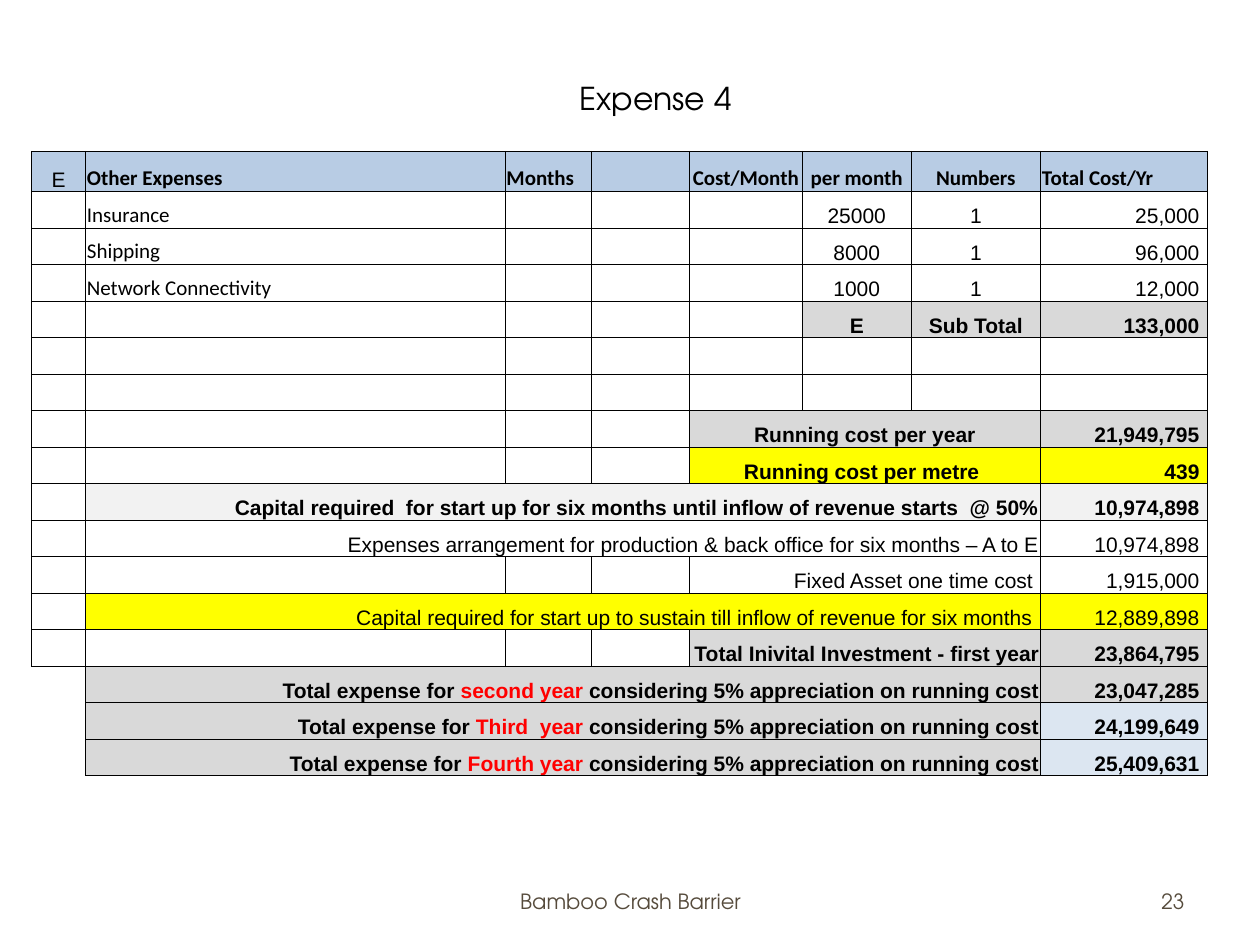
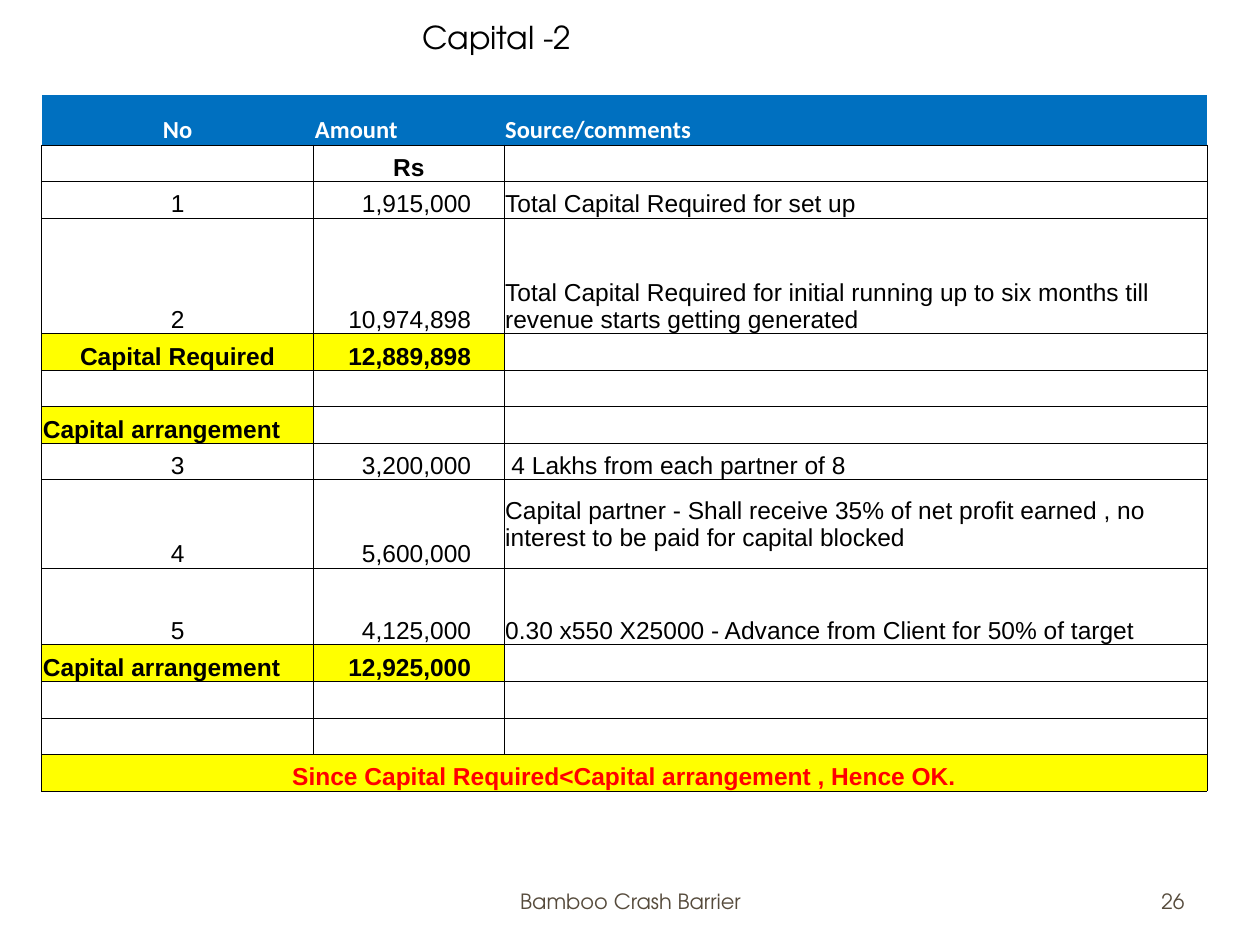
from dataclasses import dataclass
from pptx import Presentation
from pptx import util as u
from pptx.dml import color
from pptx.enum import text
from pptx.oxml import ns
from lxml import etree

COLORS = {"black": "000000", "white": "FFFFFF", "footer": "564B3C", "red": "FF0000",
          "pale blue": "B8CCE4", "ice": "DCE6F1", "blue": "0070C0",
          "gray": "D9D9D9", "light gray": "F2F2F2", "yellow": "FFFF00"}
ALIGN = {"left": text.PP_ALIGN.LEFT, "center": text.PP_ALIGN.CENTER, "right": text.PP_ALIGN.RIGHT}
ANCHOR = {"top": text.MSO_ANCHOR.TOP, "middle": text.MSO_ANCHOR.MIDDLE, "bottom": text.MSO_ANCHOR.BOTTOM}
HEADING_FONT = "TeX Gyre Adventor"


@dataclass
class Entry:
    row: int
    col: int
    words: object
    align: str = "left"
    font: str = "Arial"
    bold: bool = False
    ink: str = "black"
    fill: str = ""
    span: int = 1
    anchor: str = "bottom"
    left: float = 0.01
    right: float = 0.01


class Deck:
    def __init__(self):
        self.deck = Presentation()
        self.deck.slide_width, self.deck.slide_height = u.Inches(10), u.Inches(7.5)
        self.page = None

    def new_page(self, title, place, number):
        self.page = self.deck.slides.add_slide(self.deck.slide_layouts[5])
        box = self.page.shapes.title
        self.set_values(box, dict(zip(("left", "top", "width", "height"), map(u.Inches, place))))
        self.set_values(box.text_frame, {"word_wrap": False, "auto_size": text.MSO_AUTO_SIZE.NONE,
                                         "vertical_anchor": ANCHOR["top"]})
        self.add_words(box.text_frame, title, "left", HEADING_FONT, 18)
        self.footer("Bamboo Crash Barrier", 3.42, 3.17, "center")
        self.footer(str(number), 7.17, 2.33, "right")

    def set_values(self, target, values):
        for name, value in values.items():
            setattr(target, name, value)

    def add_words(self, frame, words, align, font, size, ink="black", bold=False):
        para = frame.paragraphs[0]
        para.alignment = ALIGN[align]
        runs = [(words, ink)] if isinstance(words, str) else words
        for run_words, run_ink in runs:
            span = para.add_run()
            span.text = run_words
            self.set_values(span.font, {"name": font, "size": u.Pt(size), "bold": bold})
            span.font.color.rgb = color.RGBColor.from_string(COLORS[run_ink])

    def footer(self, words, left, width, align):
        box = self.page.shapes.add_textbox(*map(u.Inches, (left, 6.95, width, 0.4)))
        self.set_values(box.text_frame, {"word_wrap": True, "vertical_anchor": ANCHOR["middle"]})
        self.add_words(box.text_frame, words, align, HEADING_FONT, 12, "footer")

    def borders(self, cell, sides):
        props = cell._tc.get_or_add_tcPr()
        for side in "LRTB":
            line = etree.SubElement(props, ns.qn("a:ln" + side), w=str(u.Pt(0.5)))
            if side in sides:
                fill = etree.SubElement(line, ns.qn("a:solidFill"))
                etree.SubElement(fill, ns.qn("a:srgbClr"), val=COLORS["black"])
            else:
                etree.SubElement(line, ns.qn("a:noFill"))

    def table(self, left, top, widths, heights, size, entries, open_cells):
        frame = self.page.shapes.add_table(len(heights), len(widths), *map(
            u.Inches, (left, top, sum(widths), sum(heights))))
        grid = frame.table
        self.set_values(grid, {"first_row": False, "horz_banding": False})
        for column, width in zip(grid.columns, widths):
            column.width = u.Inches(width)
        for row, height in zip(grid.rows, heights):
            row.height = u.Inches(height)
        placed = {(entry.row, entry.col): entry for entry in entries}
        for r in range(len(heights)):
            for c in range(len(widths)):
                self.cell(grid.cell(r, c), placed.get((r, c), Entry(r, c, "")),
                          size, open_cells.get((r, c), "LRTB"))
        for entry in entries:
            if entry.span > 1:
                grid.cell(entry.row, entry.col).merge(grid.cell(entry.row, entry.col + entry.span - 1))

    def cell(self, cell, entry, size, sides):
        self.borders(cell, sides)
        self.set_values(cell, {"margin_left": u.Inches(entry.left), "margin_right": u.Inches(entry.right),
                               "margin_top": u.Inches(0.01), "margin_bottom": 0,
                               "vertical_anchor": ANCHOR[entry.anchor]})
        if entry.fill:
            cell.fill.solid()
            cell.fill.fore_color.rgb = color.RGBColor.from_string(COLORS[entry.fill])
        else:
            cell.fill.background()
        if entry.words:
            self.add_words(cell.text_frame, entry.words, entry.align, entry.font, size, entry.ink, entry.bold)
        else:
            para = cell.text_frame.paragraphs[0]
            etree.SubElement(para._p, ns.qn("a:endParaRPr"), sz=str(size * 100))


def expense_page(deck):
    deck.new_page("Expense 4", (4.5, 0.58, 1.49, 0.4), 23)
    heads = [("E", "center"), ("Other Expenses", "left"), ("Months", "left"), ("", "left"),
             ("Cost/Month", "center"), ("per month", "center"), ("Numbers", "center"),
             ("Total Cost/Yr", "left")]
    entries = [Entry(0, col, words, align, "Calibri" if col else "Arial", col > 0, fill="pale blue")
               for col, (words, align) in enumerate(heads)]
    costs = [("Insurance", "25000", "25,000"), ("Shipping", "8000", "96,000"),
             ("Network Connectivity", "1000", "12,000")]
    for row, (name, monthly, total) in enumerate(costs, 1):
        entries += [Entry(row, 1, name, font="Calibri"), Entry(row, 5, monthly, "center"),
                    Entry(row, 6, "1", "center"), Entry(row, 7, total, "right", right=0.06)]
    entries += [Entry(4, 5, "E", "center", bold=True, fill="gray"),
                Entry(4, 6, "Sub Total", "center", bold=True, fill="gray"),
                Entry(4, 7, "133,000", "right", bold=True, fill="gray", right=0.06)]
    summary = [
        (4, "Running cost per year", "center", "21,949,795", True, "gray", 0.01),
        (4, "Running cost per metre", "center", "439", True, "yellow", 0.06),
        (1, "Capital required  for start up for six months until inflow of revenue starts  @ 50%",
         "right", "10,974,898", True, "light gray", 0.01),
        (1, "Expenses arrangement for production & back office for six months – A to E",
         "right", "10,974,898", False, "", 0.01),
        (4, "Fixed Asset one time cost", "right", "1,915,000", False, "", 0.06),
        (1, "Capital required for start up to sustain till inflow of revenue for six months",
         "right", "12,889,898", False, "yellow", 0.06),
        (4, "Total Inivital Investment - first year", "right", "23,864,795", True, "gray", 0.01)]
    for row, (col, words, align, total, bold, fill, right) in enumerate(summary, 7):
        entries += [Entry(row, col, words, align, bold=bold, fill=fill, span=7 - col, right=right),
                    Entry(row, 7, total, "right", bold=bold, fill=fill, right=0.06)]
    years = [("second year", "23,047,285", "gray"), ("Third  year", "24,199,649", "ice"),
             ("Fourth year", "25,409,631", "ice")]
    for row, (year, total, fill) in enumerate(years, 14):
        words = [("Total expense for ", "black"), (year, "red"),
                 (" considering 5% appreciation on running cost", "black")]
        entries += [Entry(row, 1, words, "right", bold=True, fill="gray", span=6),
                    Entry(row, 7, total, "right", bold=True, fill=fill, right=0.06)]
    deck.table(0.25, 1.2, [0.43, 3.33, 0.68, 0.78, 0.9, 0.86, 1.03, 1.32], [0.32] + [0.29] * 16,
               12, entries, {(14, 0): "TR", (15, 0): "R", (16, 0): "R"})


def capital_page(deck):
    deck.new_page("Capital -2", (3.25, 0.09, 1.47, 0.4), 26)
    heads = [("No", "center"), ("Amount", "left"), ("Source/comments", "left")]
    entries = [Entry(0, col, words, align, "Calibri", True, "white", "blue")
               for col, (words, align) in enumerate(heads)]
    entries.append(Entry(1, 1, "Rs", "center", bold=True))
    items = [
        (2, "1", "1,915,000", "Total Capital Required for set up", "bottom", 0.01),
        (3, "2", "10,974,898", "Total Capital Required for initial running up to six months till "
         "revenue starts getting generated", "bottom", 0.01),
        (7, "3", "3,200,000", "4 Lakhs from each partner of 8", "bottom", 0.06),
        (8, "4", "5,600,000", "Capital partner - Shall receive 35% of net profit earned , no "
         "interest to be paid for capital blocked", "middle", 0.01),
        (9, "5", "4,125,000", "0.30 x550 X25000 - Advance from Client for 50% of target", "bottom", 0.01)]
    for row, number, amount, comment, anchor, left in items:
        entries += [Entry(row, 0, number, "center"), Entry(row, 1, amount, "right", right=0.26),
                    Entry(row, 2, comment, anchor=anchor, left=left)]
    totals = [(4, "Capital Required", "center", "12,889,898"), (6, "Capital arrangement", "left", ""),
              (10, "Capital arrangement", "left", "12,925,000")]
    for row, words, align, amount in totals:
        entries.append(Entry(row, 0, words, align, bold=True, fill="yellow"))
        if amount:
            entries.append(Entry(row, 1, amount, "right", bold=True, fill="yellow", right=0.26))
    entries.append(Entry(13, 0, "Since Capital Required<Capital arrangement , Hence OK.", "center",
                         bold=True, ink="red", fill="yellow", span=3))
    heights = [0.29] * 14
    heights[0], heights[3], heights[8], heights[9] = 0.4, 0.92, 0.7, 0.61
    deck.table(0.33, 0.75, [2.16, 1.51, 5.58], heights, 14, entries,
               {(0, col): "B" for col in range(3)})


def main():
    deck = Deck()
    expense_page(deck)
    capital_page(deck)
    deck.deck.save("out.pptx")


if __name__ == "__main__":
    main()
